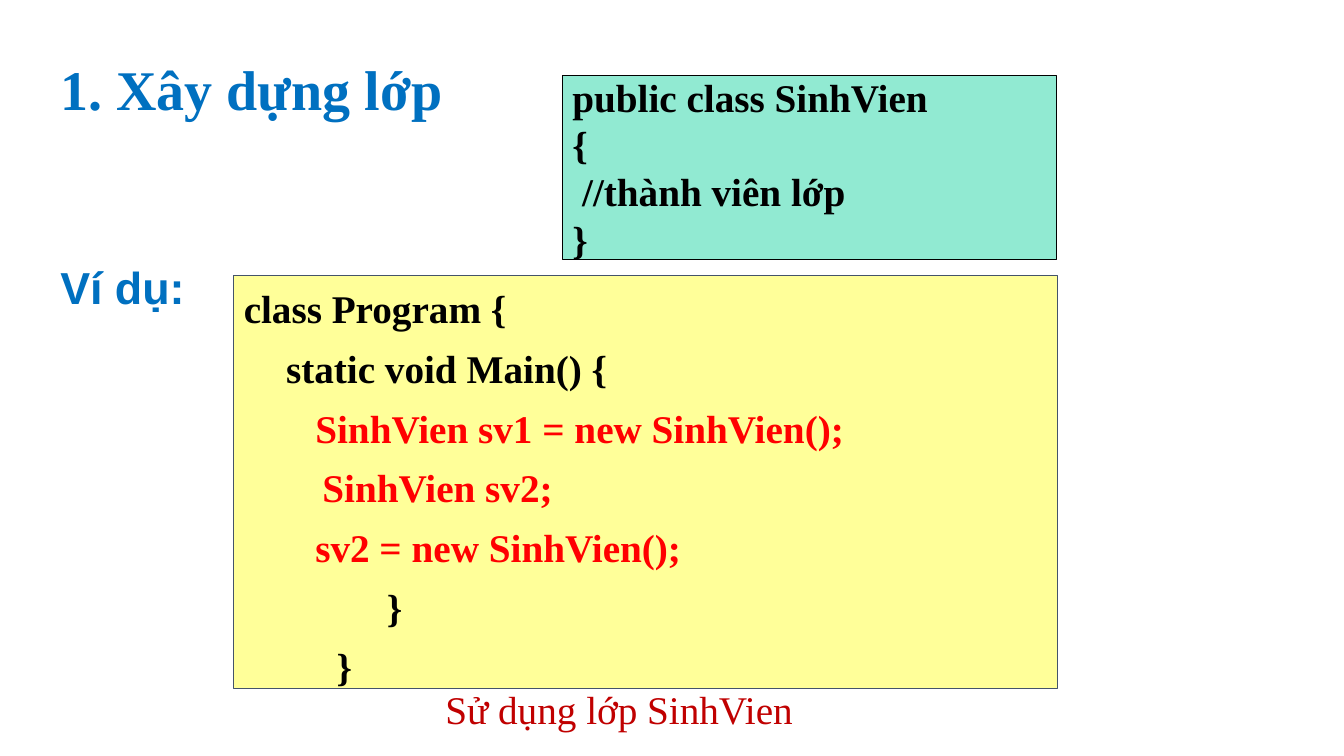
from dataclasses import dataclass

from pptx import Presentation
from pptx.dml.color import RGBColor
from pptx.enum.shapes import MSO_SHAPE as Shape
from pptx.enum.text import MSO_ANCHOR as Anchor, MSO_AUTO_SIZE as AutoSize, PP_ALIGN as Align
from pptx.util import Inches, Pt

COLUMNS, ROWS = 160, 90


@dataclass(frozen=True)
class Theme:
    serif: str = "Times New Roman"
    sans: str = "Arial"
    blue: str = "0070C0"
    black: str = "000000"
    red: str = "FF0000"
    dark_red: str = "C00000"
    mint: str = "91EAD2"
    yellow: str = "FFFF99"
    slate: str = "44546A"
    title_size: int = 40
    label_size: int = 32
    code_size: int = 28
    border: float = 0.75


class LessonSlide:
    def __init__(self, deck, theme):
        self.theme = theme
        self.column = deck.slide_width / COLUMNS
        self.row = deck.slide_height / ROWS
        self.slide = deck.slides.add_slide(deck.slide_layouts[5])

    def place(self, left, top, width, height):
        return (round(left * self.column), round(top * self.row),
                round(width * self.column), round(height * self.row))

    def apply(self, target, **values):
        for name, value in values.items():
            setattr(target, name, value)

    def add_text(self, paragraph, text, color, size, face, bold=True, **layout):
        self.apply(paragraph, alignment=Align.LEFT, **layout)
        run = paragraph.add_run()
        run.text = text
        self.apply(run.font, name=face, size=Pt(size), bold=bold)
        run.font.color.rgb = RGBColor.from_string(color)

    def title(self, grid, text):
        heading = self.slide.shapes.title
        self.apply(heading, **dict(zip(("left", "top", "width", "height"), self.place(*grid))))
        self.apply(heading.text_frame, word_wrap=True, auto_size=AutoSize.NONE,
                   vertical_anchor=Anchor.MIDDLE)
        self.add_text(heading.text_frame.paragraphs[0], text, self.theme.blue,
                      self.theme.title_size, self.theme.serif, line_spacing=0.9)

    def label(self, grid, text, color, size, face, bold):
        frame = self.slide.shapes.add_textbox(*self.place(*grid)).text_frame
        self.apply(frame, word_wrap=False, auto_size=AutoSize.SHAPE_TO_FIT_TEXT)
        self.add_text(frame.paragraphs[0], text, color, size, face, bold)

    def code(self, grid, lines, fill, border, anchor, line_spacing=1.0, gap=0):
        """Each line is its text, its indent in inches and its colour."""
        panel = self.slide.shapes.add_shape(Shape.RECTANGLE, *self.place(*grid))
        panel.shadow.inherit = False
        panel.fill.solid()
        panel.fill.fore_color.rgb = RGBColor.from_string(fill)
        panel.line.color.rgb = RGBColor.from_string(border)
        panel.line.width = Pt(self.theme.border)
        frame = panel.text_frame
        self.apply(frame, word_wrap=True, vertical_anchor=anchor)
        for number, (text, indent, color) in enumerate(lines):
            paragraph = frame.add_paragraph() if number else frame.paragraphs[0]
            self.add_text(paragraph, text, color, self.theme.code_size, self.theme.serif,
                          line_spacing=line_spacing, space_before=Pt(gap if number else 0))
            paragraph._p.get_or_add_pPr().set("marL", str(Inches(indent)))


def main():
    theme = Theme()
    deck = Presentation()
    deck.slide_width, deck.slide_height = Inches(13.33), Inches(7.5)
    lesson = LessonSlide(deck, theme)

    # Heading
    lesson.title((6, 7.2, 103.44, 7.68), "1. Xây dựng lớp")

    # Example program
    program = [
        ("class Program {", 0, theme.black),
        ("static void Main() {", 0.42, theme.black),
        ("SinhVien sv1 = new SinhVien();", 0.71, theme.red),
        ("SinhVien sv2;", 0.78, theme.red),
        ("sv2 = new SinhVien();", 0.71, theme.red),
        ("}", 1.42, theme.black),
        ("}", 0.92, theme.black),
    ]
    lesson.code((27.84, 32.76, 98.04, 49.2), program, theme.yellow, theme.slate,
                Anchor.TOP, line_spacing=1.1, gap=5.6)

    # Labels beside and below the program
    lesson.label((6, 30.36, 17.4, 7.68), "Ví dụ:", theme.blue,
                 theme.label_size, theme.sans, True)
    lesson.label((51.84, 81, 44.16, 6.84), "Sử dụng lớp SinhVien", theme.dark_red,
                 theme.code_size, theme.serif, False)

    # Class declaration
    declaration = ["public class SinhVien", "{", " //thành viên lớp", "}"]
    lesson.code((66.96, 9, 58.8, 21.96), [(text, 0, theme.black) for text in declaration],
                theme.mint, theme.black, Anchor.MIDDLE)

    deck.save("out.pptx")


if __name__ == "__main__":
    main()
